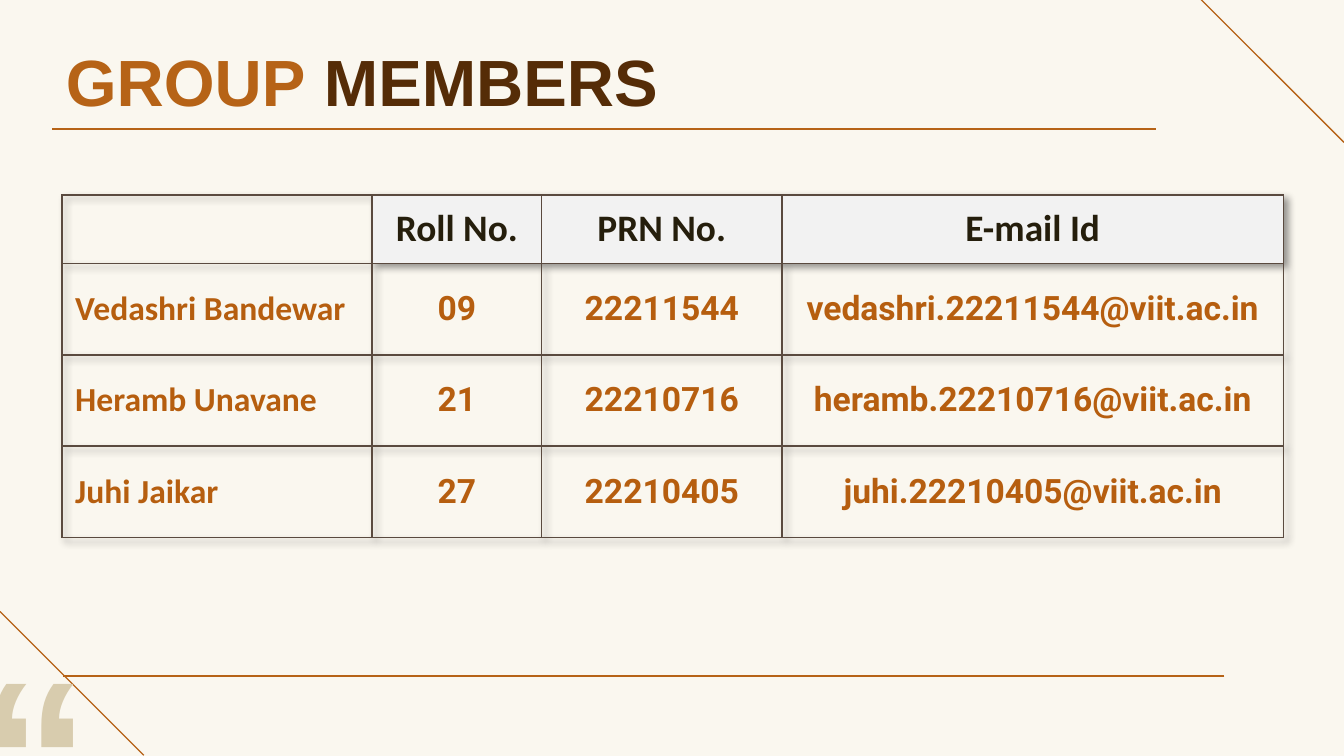
from lxml import etree
from pptx import Presentation
from pptx import util as u
from pptx.dml.color import RGBColor
from pptx.enum import shapes, text
from pptx.oxml import parse_xml
from pptx.oxml.ns import nsdecls, qn

COLORS = {
    "paper": "FAF7EF", "orange": "B66317", "brown": "552C07", "quote": "D8CCAE",
    "header": "F2F2F2", "header_text": "251E0C", "body_text": "B65E0F", "border": "5A4A3F",
}
TITLE = [("GROUP", "orange"), (" MEMBERS", "brown")]
LINES = [
    (8.93, -0.01, 10, 1.06),
    (0, 4.55, 1.07, 5.62),
    (9.11, 5.03, 0.47, 5.03),
    (0.39, 0.96, 8.6, 0.96),
]
MEMBERS = [
    ("", "Roll No.", "PRN No.", "E-mail Id"),
    ("Vedashri Bandewar", "09", "22211544", "vedashri.22211544@viit.ac.in"),
    ("Heramb Unavane", "21", "22210716", "heramb.22210716@viit.ac.in"),
    ("Juhi Jaikar", "27", "22210405", "juhi.22210405@viit.ac.in"),
]
COL_WIDTHS = [2.31, 1.26, 1.79, 3.73]
ROW_HEIGHTS = [0.51] + [0.68] * 3


def color(name):
    return RGBColor.from_string(COLORS[name])


def set_font(font, name, size, fill=None):
    font.name, font.size, font.bold = name, u.Pt(size), True
    if fill:
        font.color.rgb = color(fill)


def set_frame(tf):
    tf.word_wrap = True
    tf.auto_size = text.MSO_AUTO_SIZE.NONE
    tf.vertical_anchor = text.MSO_ANCHOR.TOP
    tf.margin_left = tf.margin_right = tf.margin_top = tf.margin_bottom = u.Inches(0.1)


def add_title(s):
    sp = s.shapes.title
    sp.left, sp.top, sp.width, sp.height = map(u.Inches, (0.39, 0.21, 8.43, 0.63))
    set_frame(sp.text_frame)
    p = sp.text_frame.paragraphs[0]
    p.alignment = text.PP_ALIGN.LEFT
    set_font(p.font, "Arial", 35)
    for words, fill in TITLE:
        r = p.add_run()
        r.text = words
        r.font.color.rgb = color(fill)


def add_line(s, ends):
    line = s.shapes.add_connector(shapes.MSO_CONNECTOR.STRAIGHT, *map(u.Inches, ends))
    line.line.color.rgb = color("orange")
    line.line.width = u.Pt(0.75)
    etree.SubElement(line._element.spPr, qn("a:effectLst"))


def add_quote_mark(s):
    sp = s.shapes.add_textbox(*map(u.Inches, (-0.26, 4.86, 0.99, 0.92)))
    set_frame(sp.text_frame)
    p = sp.text_frame.paragraphs[0]
    p.text = "“"
    p.line_spacing = 0.8
    set_font(p.font, "Arial", 120, "quote")


def format_cell(cell, words, row, col):
    cell.text = words
    cell.vertical_anchor = text.MSO_ANCHOR.MIDDLE
    cell.margin_left = cell.margin_right = u.Inches(0.1)
    cell.margin_top = cell.margin_bottom = 0
    p = cell.text_frame.paragraphs[0]
    p.alignment = text.PP_ALIGN.CENTER if col else text.PP_ALIGN.LEFT
    if row == 0:
        set_font(p.font, "Calibri", 20, "header_text")
    else:
        set_font(p.font, "Roboto" if col else "Calibri", 18, "body_text")
    tcPr = cell._tc.get_or_add_tcPr()
    for side in ("lnL", "lnR", "lnT", "lnB"):
        tcPr.append(parse_xml(
            f'<a:{side} {nsdecls("a")} w="12700"><a:solidFill>'
            f'<a:srgbClr val="{COLORS["border"]}"/></a:solidFill></a:{side}>'))
    if row == 0 and col:
        cell.fill.solid()
        cell.fill.fore_color.rgb = color("header")
    else:
        cell.fill.background()


def add_members(s):
    frame = s.shapes.add_table(
        len(MEMBERS), len(COL_WIDTHS),
        *map(u.Inches, (0.46, 1.45, sum(COL_WIDTHS), sum(ROW_HEIGHTS))))
    table = frame.table
    table.horz_banding = table.first_row = False
    table._tbl.tblPr.insert(0, parse_xml(
        f'<a:effectLst {nsdecls("a")}><a:outerShdw blurRad="50800" dist="38100" dir="2700000">'
        '<a:srgbClr val="000000"><a:alpha val="40000"/></a:srgbClr></a:outerShdw></a:effectLst>'))
    for column, width in zip(table.columns, COL_WIDTHS):
        column.width = u.Inches(width)
    for i, (row, height) in enumerate(zip(MEMBERS, ROW_HEIGHTS)):
        table.rows[i].height = u.Inches(height)
        for j, words in enumerate(row):
            format_cell(table.cell(i, j), words, i, j)


def main():
    """Build the group members slide."""
    prs = Presentation()
    prs.slide_width = u.Inches(10)
    prs.slide_height = prs.slide_width * 9 // 16
    s = prs.slides.add_slide(prs.slide_layouts[5])
    s.background.fill.solid()
    s.background.fill.fore_color.rgb = color("paper")
    add_title(s)
    for ends in LINES:
        add_line(s, ends)
    add_quote_mark(s)
    add_members(s)
    prs.save("out.pptx")


if __name__ == "__main__":
    main()
